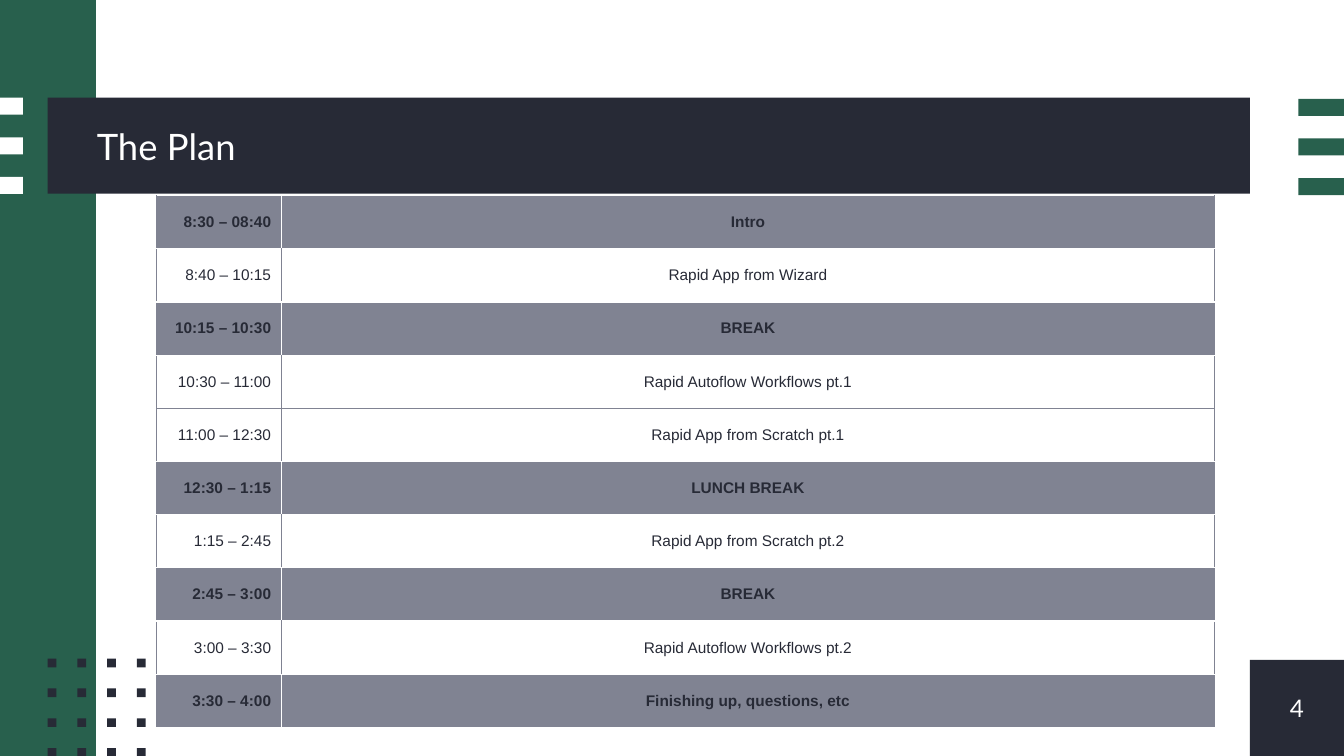
from dataclasses import dataclass

from lxml import etree
from pptx import Presentation
from pptx.dml.color import RGBColor
from pptx.enum.shapes import MSO_SHAPE
from pptx.enum.text import MSO_ANCHOR, PP_ALIGN
from pptx.oxml.ns import qn
from pptx.slide import Slide
from pptx.table import _Cell
from pptx.text.text import TextFrame
from pptx.util import Cm, Pt

RECTANGLE = MSO_SHAPE.RECTANGLE
MIDDLE = MSO_ANCHOR.MIDDLE
LEFT, CENTER, RIGHT = PP_ALIGN.LEFT, PP_ALIGN.CENTER, PP_ALIGN.RIGHT


@dataclass(frozen=True)
class Theme:
    dark: str = "272A36"
    green: str = "28604D"
    grey: str = "808392"
    white: str = "FFFFFF"
    heading_font: str = "Lato"
    table_font: str = "Arial"
    title_size: float = 26
    number_size: float = 17.3
    table_size: float = 11


@dataclass(frozen=True)
class Box:
    """A rectangle in centimetres."""
    left: float
    top: float
    width: float
    height: float


@dataclass(frozen=True)
class BlockGrid:
    """Equal rectangles repeated at one pitch in both directions."""
    first: Box
    columns: int
    rows: int
    pitch: float
    color: str


@dataclass(frozen=True)
class Session:
    time: str
    topic: str
    highlighted: bool = False


@dataclass(frozen=True)
class Edge:
    color: str
    width: float


THEME = Theme()
THIN_GREY = Edge(THEME.grey, 0.5)
WHITE_GAP = Edge(THEME.white, 1)

SIDE_BAND = Box(0, 0, 2.42, 19.05)
TITLE_BANNER = Box(1.2, 2.46, 30.3, 2.42)
TITLE_AREA = Box(2.44, 2.46, 29.06, 2.42)
NUMBER_CORNER = Box(31.5, 16.63, 2.37, 2.42)
BLOCK_GRIDS = [
    BlockGrid(Box(0, 2.46, 0.58, 0.43), 1, 3, 1.0, THEME.white),
    BlockGrid(Box(1.2, 16.6, 0.22, 0.22), 4, 4, 0.75, THEME.dark),
    BlockGrid(Box(32.72, 2.49, 1.15, 0.43), 1, 3, 1.0, THEME.green),
]

SCHEDULE_LEFT, SCHEDULE_TOP = 3.94, 4.93
COLUMN_WIDTHS = (3.15, 23.52)
ROW_HEIGHT = 1.34
SESSIONS = [
    Session("8:30 – 08:40", "Intro", True),
    Session("8:40 – 10:15", "Rapid App from Wizard"),
    Session("10:15 – 10:30", "BREAK", True),
    Session("10:30 – 11:00", "Rapid Autoflow Workflows pt.1"),
    Session("11:00 – 12:30", "Rapid App from Scratch pt.1"),
    Session("12:30 – 1:15", "LUNCH BREAK", True),
    Session("1:15 – 2:45", "Rapid App from Scratch pt.2"),
    Session("2:45 – 3:00", "BREAK", True),
    Session("3:00 – 3:30", "Rapid Autoflow Workflows pt.2"),
    Session("3:30 – 4:00", "Finishing up, questions, etc", True),
]


def rgb(color: str) -> RGBColor:
    return RGBColor.from_string(color)


def add_block(slide: Slide, box: Box, color: str) -> None:
    block = slide.shapes.add_shape(
        RECTANGLE, Cm(box.left), Cm(box.top), Cm(box.width), Cm(box.height))
    block.shadow.inherit = False
    block.fill.solid()
    block.fill.fore_color.rgb = rgb(color)
    block.line.fill.background()


def add_block_grid(slide: Slide, grid: BlockGrid) -> None:
    first = grid.first
    for row in range(grid.rows):
        for column in range(grid.columns):
            add_block(slide, Box(first.left + column * grid.pitch,
                                 first.top + row * grid.pitch,
                                 first.width, first.height), grid.color)


def write(frame: TextFrame, text: str, font_name: str, size: float, color: str,
          align: PP_ALIGN, bold: bool = False) -> None:
    paragraph = frame.paragraphs[0]
    paragraph.text = text
    paragraph.alignment = align
    font = paragraph.font
    font.name, font.size, font.bold = font_name, Pt(size), bold
    font.color.rgb = rgb(color)


def add_heading(slide: Slide, box: Box, text: str, size: float,
                align: PP_ALIGN) -> None:
    frame = slide.shapes.add_textbox(
        Cm(box.left), Cm(box.top), Cm(box.width), Cm(box.height)).text_frame
    frame.word_wrap = True
    frame.vertical_anchor = MIDDLE
    frame.margin_left = frame.margin_right = Cm(0)
    frame.margin_top = frame.margin_bottom = Cm(0)
    write(frame, text, THEME.heading_font, size, THEME.white, align)


def set_edges(cell: _Cell, edges: dict[str, Edge]) -> None:
    properties = cell._tc.get_or_add_tcPr()
    for side, edge in edges.items():
        line = etree.SubElement(properties, qn(f"a:ln{side}"), w=str(Pt(edge.width)))
        fill = etree.SubElement(line, qn("a:solidFill"))
        etree.SubElement(fill, qn("a:srgbClr"), val=edge.color)


def horizontal_edge(lower_row: int) -> Edge:
    """Edge above the given row: white wherever it touches a highlighted one."""
    touching = SESSIONS[max(lower_row - 1, 0):lower_row + 1]
    return WHITE_GAP if any(s.highlighted for s in touching) else THIN_GREY


def add_schedule(slide: Slide) -> None:
    schedule = slide.shapes.add_table(
        len(SESSIONS), len(COLUMN_WIDTHS), Cm(SCHEDULE_LEFT), Cm(SCHEDULE_TOP),
        Cm(sum(COLUMN_WIDTHS)), Cm(ROW_HEIGHT * len(SESSIONS))).table
    schedule.first_row = schedule.horz_banding = False
    for column, width in zip(schedule.columns, COLUMN_WIDTHS):
        column.width = Cm(width)

    for index, session in enumerate(SESSIONS):
        schedule.rows[index].height = Cm(ROW_HEIGHT)
        time_cell, topic_cell = schedule.cell(index, 0), schedule.cell(index, 1)
        divider = WHITE_GAP if session.highlighted else THIN_GREY
        above, below = horizontal_edge(index), horizontal_edge(index + 1)
        set_edges(time_cell, {"L": THIN_GREY, "R": divider, "T": above, "B": below})
        set_edges(topic_cell, {"L": divider, "R": THIN_GREY, "T": above, "B": below})
        topic_cell.margin_left = topic_cell.margin_right = Cm(0)
        topic_cell.margin_top = topic_cell.margin_bottom = Cm(0)

        for cell, text, align in ((time_cell, session.time, RIGHT),
                                  (topic_cell, session.topic, CENTER)):
            cell.vertical_anchor = MIDDLE
            if session.highlighted:
                cell.fill.solid()
                cell.fill.fore_color.rgb = rgb(THEME.grey)
            else:
                cell.fill.background()
            write(cell.text_frame, text, THEME.table_font, THEME.table_size,
                  THEME.dark, align, session.highlighted)


def main() -> None:
    deck = Presentation()
    deck.slide_width, deck.slide_height = Cm(33.87), Cm(19.05)
    slide = deck.slides.add_slide(deck.slide_layouts[6])

    # Backdrop: corner, side band, banner and small blocks
    add_block(slide, NUMBER_CORNER, THEME.dark)
    add_block(slide, SIDE_BAND, THEME.green)
    add_block(slide, TITLE_BANNER, THEME.dark)
    for grid in BLOCK_GRIDS:
        add_block_grid(slide, grid)

    # Title and page number
    add_heading(slide, TITLE_AREA, "The Plan", THEME.title_size, LEFT)
    add_heading(slide, NUMBER_CORNER, "4", THEME.number_size, CENTER)

    # Timetable of the day
    add_schedule(slide)
    deck.save("out.pptx")


if __name__ == "__main__":
    main()
